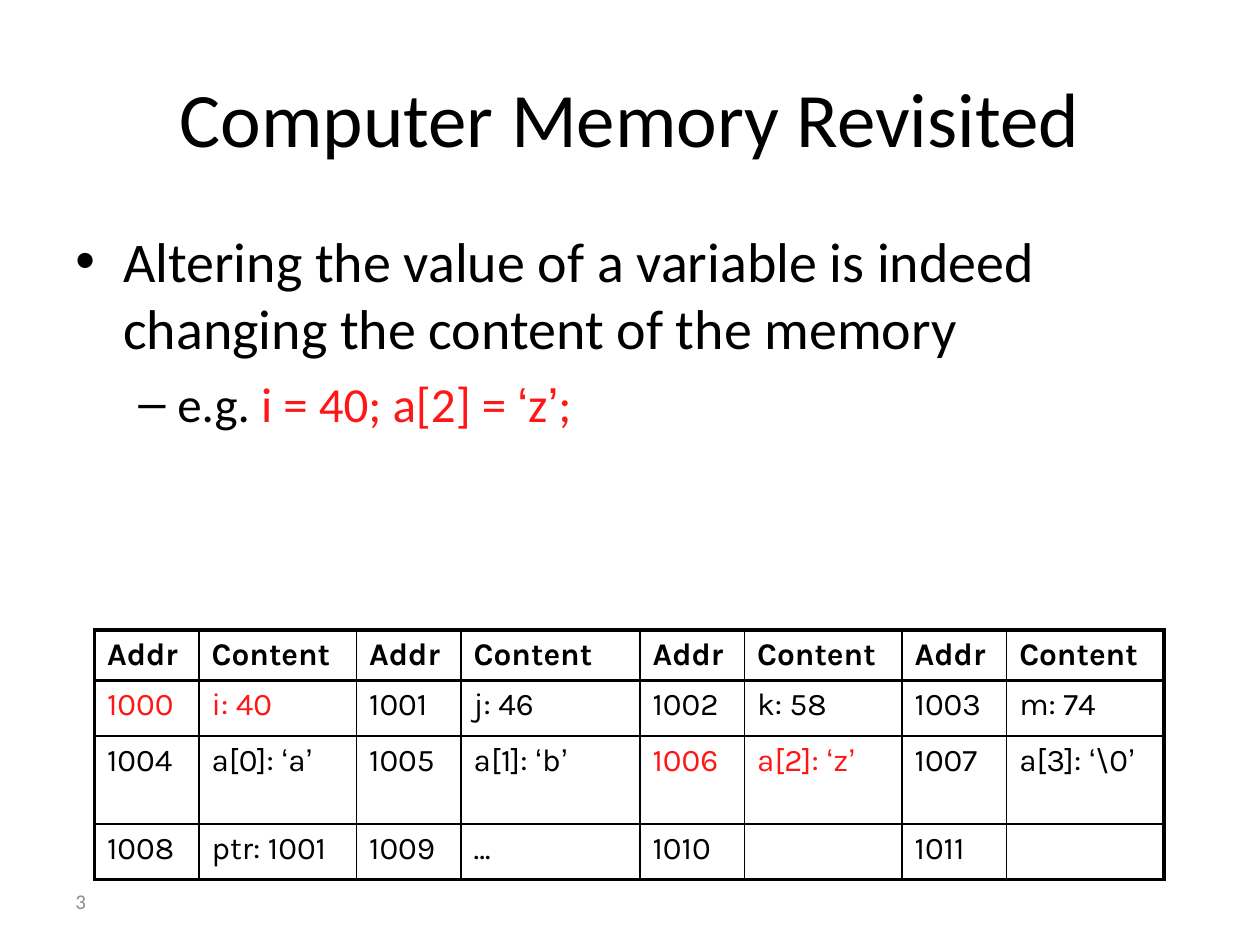
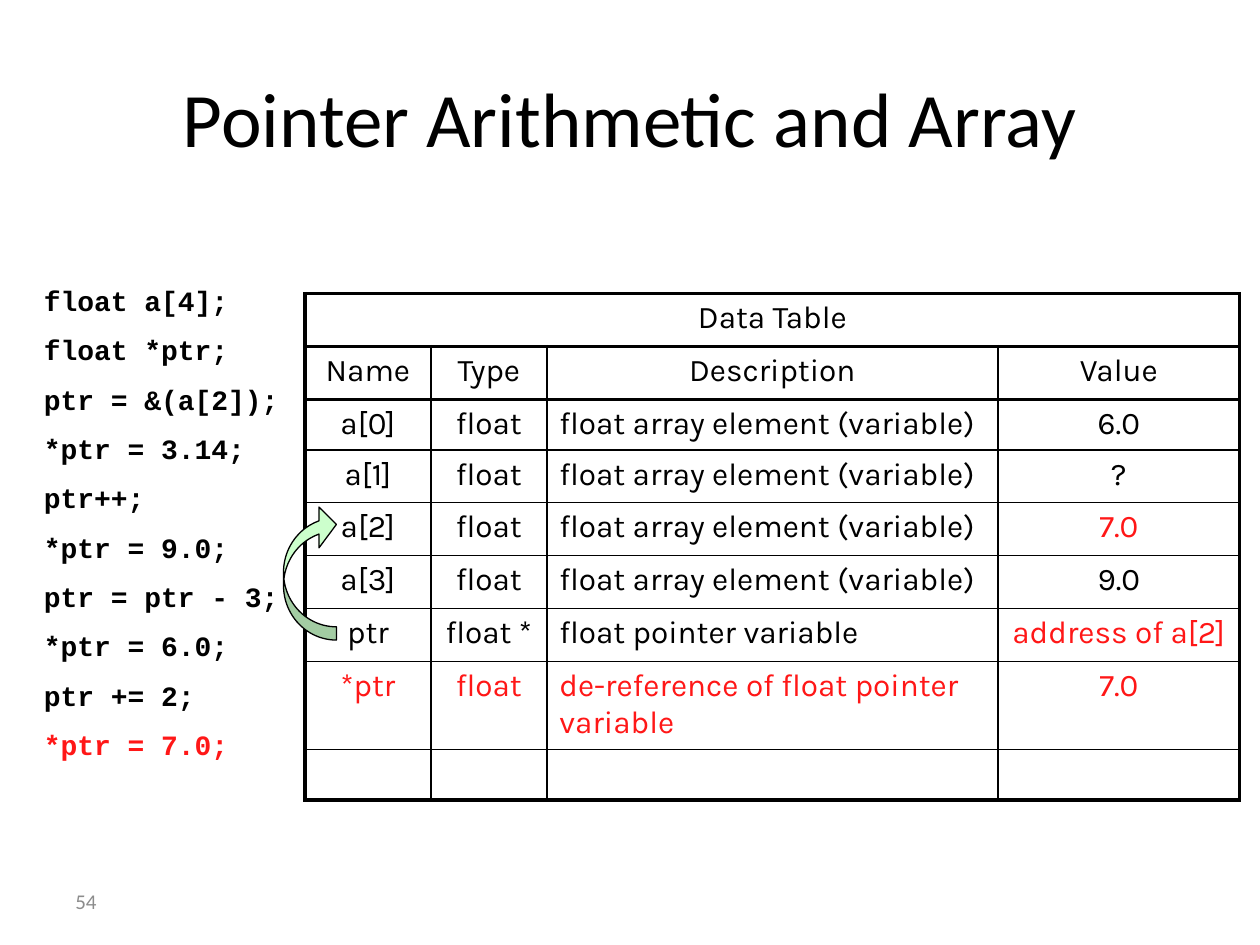
from itertools import groupby

from lxml import etree
from pptx import Presentation
from pptx.dml.color import RGBColor
from pptx.enum.shapes import MSO_SHAPE
from pptx.enum.text import MSO_ANCHOR, PP_ALIGN
from pptx.oxml.ns import qn
from pptx.util import Inches, Pt

LEFT, CENTER = PP_ALIGN.LEFT, PP_ALIGN.CENTER
MIDDLE = MSO_ANCHOR.MIDDLE
POINTER_ARROW = MSO_SHAPE.CURVED_LEFT_ARROW

COLORS = {"text": "000000", "changed": "FF1717", "number": "8C8C8C", "arrow": "CCFFCC"}
THICK, THIN = 2.25, 1
QUOTES = "‘’"


def write(paragraph, pieces, font, size, bold=False, align=LEFT):
    paragraph.alignment = align
    paragraph.font.size = Pt(size)
    for text, color in pieces:
        for is_quote, letters in groupby(text, key=lambda letter: letter in QUOTES):
            run = paragraph.add_run()
            run.text = "".join(letters)
            run.font.name = "Arial" if is_quote else font
            run.font.size = Pt(size)
            run.font.bold = bold
            run.font.color.rgb = RGBColor.from_string(COLORS[color])


def add_grid(slide, left, top, widths, heights, rows, header_rows, changed, centered=(), bold_header=False):
    grid = slide.shapes.add_table(
        len(heights), len(widths), Inches(left), Inches(top), Inches(sum(widths)), Inches(sum(heights))
    ).table
    grid.first_row = grid.horz_banding = False
    for column, width in zip(grid.columns, widths):
        column.width = Inches(width)
    for row, height in zip(grid.rows, heights):
        row.height = Inches(height)
    for r, texts in enumerate(rows):
        if len(texts) == 1:
            grid.cell(r, 0).merge(grid.cell(r, len(widths) - 1))
        for c in range(len(widths)):
            cell = grid.cell(r, c)
            span = cell.span_width if cell.is_merge_origin else 1
            thick = {
                "L": c == 0,
                "R": c + span == len(widths),
                "T": r <= header_rows,
                "B": r < header_rows or r == len(heights) - 1,
            }
            properties = cell._tc.get_or_add_tcPr()
            for side, is_thick in thick.items():
                border = etree.SubElement(properties, qn(f"a:ln{side}"), w=str(Pt(THICK if is_thick else THIN)))
                fill = etree.SubElement(border, qn("a:solidFill"))
                etree.SubElement(fill, qn("a:srgbClr"), val=COLORS["text"])
            cell.fill.background()
            text = texts[c] if c < len(texts) else ""
            color = "changed" if (r, c) in changed else "text"
            align = CENTER if c in centered or r < header_rows and centered else LEFT
            write(cell.text_frame.paragraphs[0], [(text, color)] if text else [],
                  "Karla", 18, bold_header and r < header_rows, align)


prs = Presentation()
prs.slide_width, prs.slide_height = Inches(10), Inches(7.5)

slides = []
for title, number in [("Computer Memory Revisited", "3"), ("Pointer Arithmetic and Array", "54")]:
    slide = prs.slides.add_slide(prs.slide_layouts[6])
    slides.append(slide)
    for text, box, size, color, align in [
        (number, (0.5, 6.95, 2.33, 0.4), 12, "number", LEFT),
        (title, (0.5, 0.3, 9, 1.25), 44, "text", CENTER),
    ]:
        frame = slide.shapes.add_textbox(*map(Inches, box)).text_frame
        frame.word_wrap = True
        frame.vertical_anchor = MIDDLE
        write(frame.paragraphs[0], [(text, color)], "Calibri", size, align=align)

memory_slide, pointer_slide = slides

points = [
    ("•", 0.38, 0.38, 32, 0,
     [("Altering the value of a variable is indeed changing the content of the memory", "text")]),
    ("–", 0.81, 0.31, 28, 6.8, [("e.g. ", "text"), ("i = 40; a[2] = ‘z’;", "changed")]),
]
body = memory_slide.shapes.add_textbox(Inches(0.5), Inches(1.75), Inches(9), Inches(4.95)).text_frame
body.word_wrap = True
for i, (bullet, margin, hanging, size, space, pieces) in enumerate(points):
    point = body.add_paragraph() if i else body.paragraphs[0]
    properties = point._p.get_or_add_pPr()
    properties.set("marL", str(Inches(margin)))
    properties.set("indent", str(-Inches(hanging)))
    etree.SubElement(properties, qn("a:buFont"), typeface="Arial")
    etree.SubElement(properties, qn("a:buChar"), char=bullet)
    point.space_before = Pt(space)
    write(point, pieces, "Calibri", size)

contents = ["i: 40", "j: 46", "k: 58", "m: 74",
            "a[0]: ‘a’", "a[1]: ‘b’", "a[2]: ‘z’", "a[3]: ‘\\0’",
            "ptr: 1001", "…", "", ""]
memory_rows = [["Addr", "Content"] * 4]
for start in range(0, len(contents), 4):
    memory_rows.append([text for i in range(start, start + 4) for text in (str(1000 + i), contents[i])])
add_grid(memory_slide, 0.75, 5, [0.83, 1.25, 0.83, 1.42, 0.83, 1.25, 0.83, 1.25], [0.4, 0.44, 0.7, 0.44],
         memory_rows, 1, {(1, 0), (1, 1), (2, 4), (2, 5)}, bold_header=True)

statements = ["float a[4];", "float *ptr;", "ptr = &(a[2]);", "*ptr = 3.14;", "ptr++;",
              "*ptr = 9.0;", "ptr = ptr - 3;", "*ptr = 6.0;", "ptr += 2;", "*ptr = 7.0;"]
code = pointer_slide.shapes.add_textbox(Inches(0.25), Inches(2.2), Inches(9.33), Inches(3.98)).text_frame
code.word_wrap = True
for i, statement in enumerate(statements):
    line = code.add_paragraph() if i else code.paragraphs[0]
    if i:
        line.space_before = Pt(9)
    color = "changed" if i == len(statements) - 1 else "text"
    write(line, [(statement, color)], "Courier New", 16, True)

element = "float array element (variable)"
data_rows = [
    ["Data Table"],
    ["Name", "Type", "Description", "Value"],
    *[[f"a[{i}]", "float", element, value] for i, value in enumerate(["6.0", "?", "7.0", "9.0"])],
    ["ptr", "float *", "float pointer variable", "address of a[2]"],
    ["*ptr", "float", "de-reference of float pointer variable", "7.0"],
    [""] * 4,
]
add_grid(pointer_slide, 2.42, 2.33, [1, 0.92, 3.58, 1.92],
         [0.42, 0.42, 0.4, 0.42, 0.42, 0.42, 0.42, 0.7, 0.4], data_rows, 2,
         {(4, 3), (6, 3), *[(7, c) for c in range(4)]}, centered=(0, 1, 3))

arrow = pointer_slide.shapes.add_shape(POINTER_ARROW, Inches(2.25), Inches(4), Inches(0.42), Inches(1.08))
arrow.rotation = 180
arrow.shadow.inherit = False
for i, adjustment in enumerate([0.25, 0.77, 0.33]):
    arrow.adjustments[i] = adjustment
arrow.fill.solid()
arrow.fill.fore_color.rgb = RGBColor.from_string(COLORS["arrow"])
arrow.line.color.rgb = RGBColor.from_string(COLORS["text"])
arrow.line.width = Pt(0.75)

prs.save("out.pptx")
